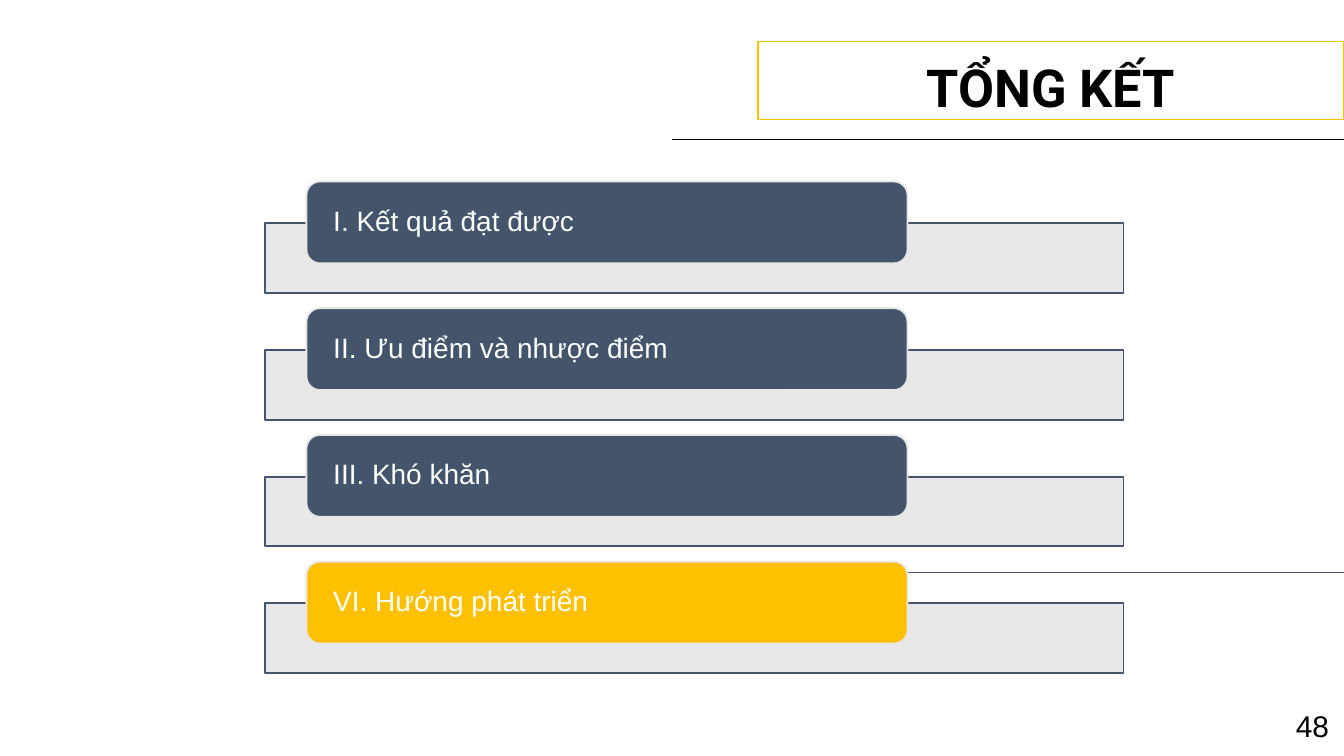
from dataclasses import dataclass

from lxml import etree
from pptx import Presentation
from pptx.dml.color import RGBColor
from pptx.enum.shapes import MSO_CONNECTOR, MSO_SHAPE
from pptx.enum.text import MSO_ANCHOR, MSO_AUTO_SIZE, PP_ALIGN
from pptx.oxml.ns import qn
from pptx.util import Inches, Pt

RECT, ROUNDED = MSO_SHAPE.RECTANGLE, MSO_SHAPE.ROUNDED_RECTANGLE
STRAIGHT = MSO_CONNECTOR.STRAIGHT
TOP, MIDDLE = MSO_ANCHOR.TOP, MSO_ANCHOR.MIDDLE
LEFT, CENTER = PP_ALIGN.LEFT, PP_ALIGN.CENTER
NO_AUTOFIT = MSO_AUTO_SIZE.NONE

COLORS = {
    "slate": "44546A",
    "gold": "FFC000",
    "pale": "E7E6E6",
    "white": "FFFFFF",
    "black": "000000",
}
SLIDE_W = 10
SLIDE_H = SLIDE_W * 9 / 16
BAR_LEFT, BAR_W, BAR_H = 1.97, 6.39, 0.52
CARD_W, CARD_H = 0.7 * BAR_W, 0.61
CARD_LEFT = 2.28
FIRST_ROW, ROW_STEP, BAR_DROP = 1.35, 0.943, 0.31
TITLE_BOX = (5.64, 0.31, 4.36, 0.58)


@dataclass
class Section:
    text: str
    fill: str = "slate"


SECTIONS = [
    Section("I. Kết quả đạt được"),
    Section("II. Ưu điểm và nhược điểm"),
    Section("III. Khó khăn"),
    Section("VI. Hướng phát triển", "gold"),
]


def rgb(name: str) -> RGBColor:
    return RGBColor.from_string(COLORS[name])


def write(sp, text: str, size: float, color: str, font: str = "Arial",
          bold: bool = False, align=LEFT, anchor=TOP,
          insets: tuple = (0.1, 0.1, 0.1, 0.1)) -> None:
    tf = sp.text_frame
    tf.word_wrap = True
    tf.auto_size = NO_AUTOFIT
    tf.vertical_anchor = anchor
    tf.margin_left, tf.margin_top, tf.margin_right, tf.margin_bottom = map(Inches, insets)
    p = tf.paragraphs[0]
    p.alignment = align
    r = p.add_run()
    r.text = text
    r.font.name, r.font.size, r.font.bold = font, Pt(size), bold
    r.font.color.rgb = rgb(color)


def add_line(slide, x1: float, x2: float, y: float, color: str) -> None:
    line = slide.shapes.add_connector(STRAIGHT, *map(Inches, (x1, y, x2, y)))
    line.line.color.rgb = rgb(color)
    line.line.width = Pt(0.75)
    etree.SubElement(line._element.spPr, qn("a:effectLst"))


def add_box(slide, kind, box: tuple, fill: str, outline: str):
    sp = slide.shapes.add_shape(kind, *map(Inches, box))
    sp.shadow.inherit = False
    sp.fill.solid()
    sp.fill.fore_color.rgb = rgb(fill)
    sp.line.color.rgb = rgb(outline)
    sp.line.width = Pt(1)
    return sp


def set_opacity(sp, percent: int) -> None:
    color = sp._element.spPr.find(qn("a:solidFill"))[0]
    etree.SubElement(color, qn("a:alpha"), val=str(percent * 1000))


def add_section(slide, row: int, section: Section) -> None:
    """Draw a pale bar with its labelled card overlapping the top edge."""
    top = FIRST_ROW + row * ROW_STEP
    bar = add_box(slide, RECT, (BAR_LEFT, top + BAR_DROP, BAR_W, BAR_H), "pale", "slate")
    set_opacity(bar, 90)
    card = add_box(slide, ROUNDED, (CARD_LEFT, top, CARD_W, CARD_H), section.fill, "pale")
    write(card, section.text, 15, "white", anchor=MIDDLE, insets=(0.17, 0, 0.17, 0))
    card.text_frame.paragraphs[0].line_spacing = 0.9


def add_title(slide, text: str) -> None:
    title = slide.shapes.title
    title.left, title.top, title.width, title.height = map(Inches, TITLE_BOX)
    title.line.color.rgb = rgb("gold")
    title.line.width = Pt(0.75)
    write(title, text, 28, "black", "Roboto", bold=True, align=CENTER)


def main() -> None:
    prs = Presentation()
    prs.slide_width, prs.slide_height = Inches(SLIDE_W), Inches(SLIDE_H)
    slide = prs.slides.add_slide(prs.slide_layouts.get_by_name("Title Only"))

    add_title(slide, "TỔNG KẾT")
    add_line(slide, SLIDE_W / 2, SLIDE_W, 1.04, "black")
    add_line(slide, 5.88, SLIDE_W, 4.26, "slate")
    for row, section in enumerate(SECTIONS):
        add_section(slide, row, section)

    number = slide.shapes.add_textbox(*map(Inches, (9.53, 5.22, 0.47, 0.37)))
    write(number, "48", 16, "black", align=CENTER, insets=(0.1, 0.05, 0.1, 0.05))
    prs.save("out.pptx")


if __name__ == "__main__":
    main()
